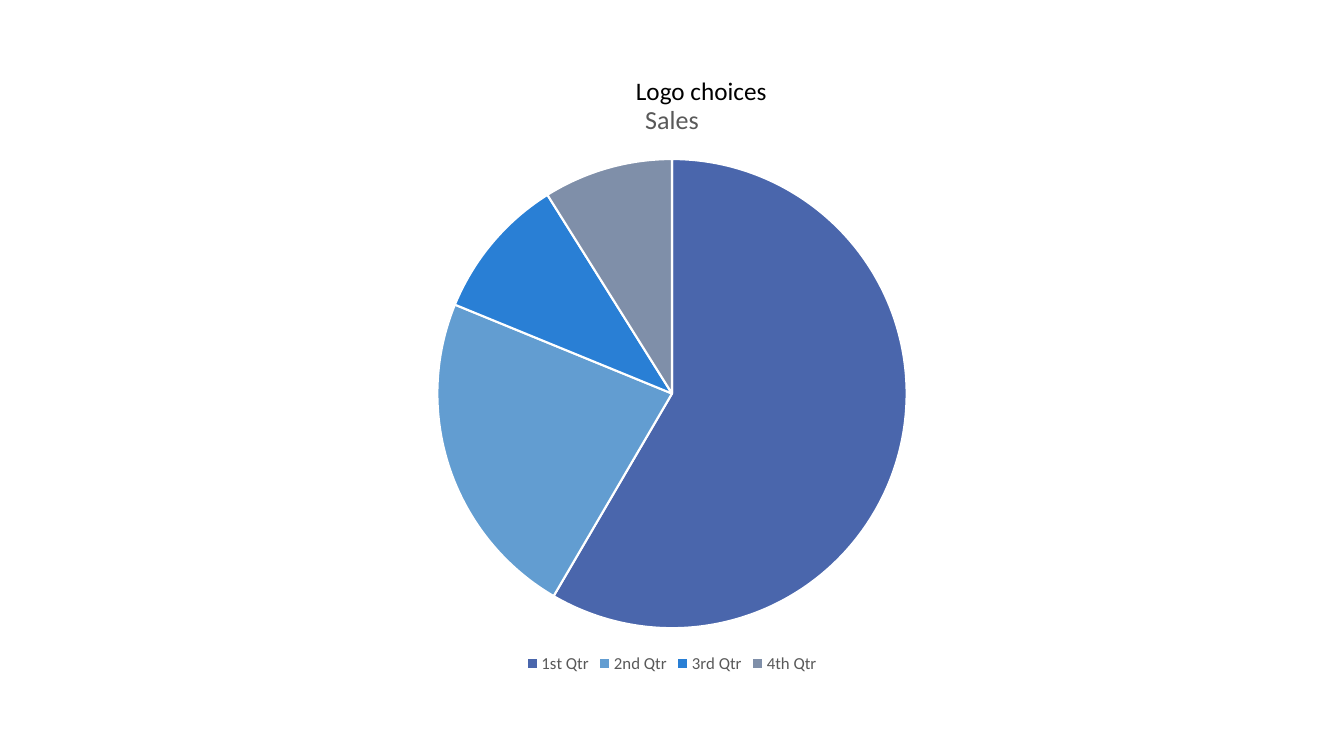
from pptx import Presentation
from pptx.chart.data import CategoryChartData as Data
from pptx.dml.color import RGBColor as RGB
from pptx.enum.chart import XL_CHART_TYPE as Kind, XL_LEGEND_POSITION as Pos
from pptx.enum.text import MSO_AUTO_SIZE as Fit, PP_ALIGN as Align
from pptx.util import Inches, Pt

BLACK = RGB(0x00, 0x00, 0x00)
WHITE = RGB(0xFF, 0xFF, 0xFF)
GRAY = RGB(0x59, 0x59, 0x59)
INDIGO = RGB(0x4A, 0x66, 0xAC)
SKY = RGB(0x62, 0x9D, 0xD1)
BLUE = RGB(0x29, 0x7F, 0xD5)
SLATE = RGB(0x7F, 0x8F, 0xA9)

SALES = [
    ("1st Qtr", 59, INDIGO),
    ("2nd Qtr", 23, SKY),
    ("3rd Qtr", 10, BLUE),
    ("4th Qtr", 9, SLATE),
]


def style(font, size, color):
    form = {"name": "Calibri", "size": Pt(size), "bold": False}
    for key, value in form.items():
        setattr(font, key, value)
    font.color.rgb = color


deck = Presentation()
deck.slide_width = Inches(13.33)
deck.slide_height = Inches(7.5)
slide = deck.slides.add_slide(deck.slide_layouts[6])

# Pie chart of sales by quarter
names, values, colors = zip(*SALES)
data = Data()
data.categories = names
data.add_series("Sales", values)
chart = slide.shapes.add_chart(
    Kind.PIE, Inches(2.22), Inches(0.79), Inches(8.89), Inches(5.93), data
).chart
style(chart.font, 10, BLACK)

chart.has_title = True
title = chart.chart_title
title.include_in_layout = False
title.text_frame.text = "Sales"
style(title.text_frame.paragraphs[0].runs[0].font, 18.6, GRAY)

chart.has_legend = True
legend = chart.legend
legend.position = Pos.BOTTOM
legend.include_in_layout = False
style(legend.font, 12, GRAY)

pie = chart.plots[0]
pie.vary_by_categories = True
for i, color in enumerate(colors):
    slice = pie.series[0].points[i].format
    slice.fill.solid()
    slice.fill.fore_color.rgb = color
    slice.line.color.rgb = WHITE
    slice.line.width = Pt(1.5)

# Heading above the chart
box = slide.shapes.add_textbox(
    Inches(3.62), Inches(0.7), Inches(6.67), Inches(0.4)
)
frame = box.text_frame
frame.word_wrap = True
frame.auto_size = Fit.SHAPE_TO_FIT_TEXT
head = frame.paragraphs[0]
head.alignment = Align.CENTER
run = head.add_run()
run.text = "Logo choices"
style(run.font, 18, BLACK)

deck.save("out.pptx")
